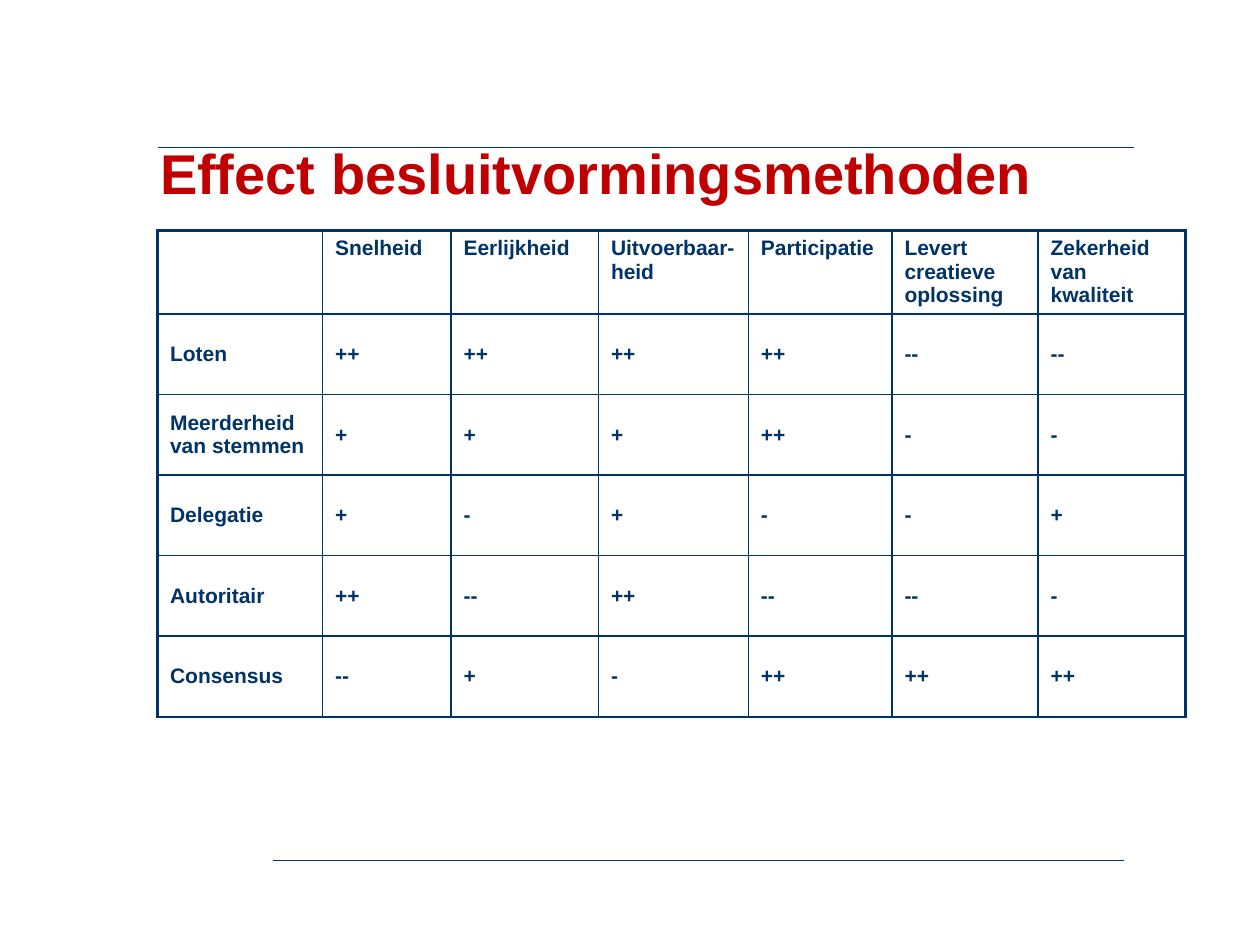
from lxml.etree import SubElement
from pptx import Presentation
from pptx.dml.color import RGBColor
from pptx.enum.shapes import MSO_CONNECTOR as Connector
from pptx.enum.text import MSO_ANCHOR as Anchor, MSO_AUTO_SIZE as AutoSize, PP_ALIGN as Align
from pptx.oxml import parse_xml
from pptx.oxml.ns import nsdecls, qn
from pptx.util import Inches, Pt

# Content
TITLE = "Effect besluitvormingsmethoden"
ROWS = [
    ["", "Snelheid", "Eerlijkheid", "Uitvoerbaar-heid", "Participatie",
     "Levert creatieve oplossing", "Zekerheid van kwaliteit"],
    ["Loten", "++", "++", "++", "++", "--", "--"],
    ["Meerderheid van stemmen", "+", "+", "+", "++", "-", "-"],
    ["Delegatie", "+", "-", "+", "-", "-", "+"],
    ["Autoritair", "++", "--", "++", "--", "--", "-"],
    ["Consensus", "--", "+", "-", "++", "++", "++"],
]

# Layout and formats
NAVY, RED = "003366", "C00000"
RULES = [(1.25, 9, 1.17), (2.17, 8.92, 6.83)]  # left, right, y
COLUMN_WIDTHS = [1.31, 1.02, 1.17, 1.19, 1.14, 1.16, 1.17]
ROW_HEIGHT = 0.64
THIN, THICK = 1, 2.25
TITLE_FONT = {"name": "Arial", "size": Pt(32), "bold": True}
CELL_FONT = {"name": "Arial", "size": Pt(12), "bold": True}
CELL_MARGINS = {"margin_left": Inches(0.1), "margin_right": Inches(0.1),
                "margin_top": Inches(0.05), "margin_bottom": Inches(0.05)}


def color(value):
    return RGBColor.from_string(value)


def apply(target, formats):
    for name, value in formats.items():
        setattr(target, name, value)


def write(para, text, font, ink):
    span = para.add_run()
    span.text = text
    apply(span.font, font)
    span.font.color.rgb = color(ink)


def add_rule(page, left, right, y):
    rule = page.shapes.add_connector(
        Connector.STRAIGHT, Inches(left), Inches(y), Inches(right), Inches(y))
    rule.line.color.rgb = color(NAVY)
    rule.line.width = Pt(0.75)
    SubElement(rule._element.spPr, qn("a:effectLst"))


def set_borders(cell, widths):
    properties = cell._tc.get_or_add_tcPr()
    for index, (side, width) in enumerate(widths.items()):
        properties.insert(index, parse_xml(
            f'<a:ln{side} {nsdecls("a")} w="{Pt(width)}"><a:solidFill>'
            f'<a:srgbClr val="{NAVY}"/></a:solidFill></a:ln{side}>'))


def add_title(page):
    title = page.shapes.title
    apply(title, {"left": Inches(1.17), "top": Inches(0.94),
                  "width": Inches(8.17), "height": Inches(0.75)})
    apply(title.text_frame, {"vertical_anchor": Anchor.BOTTOM, "word_wrap": True,
                             "auto_size": AutoSize.NONE})
    para = title.text_frame.paragraphs[0]
    apply(para, {"alignment": Align.LEFT, "line_spacing": 0.9})
    write(para, TITLE, TITLE_FONT, RED)


def add_methods_table(page):
    last_column = len(COLUMN_WIDTHS) - 1
    table = page.shapes.add_table(
        len(ROWS), len(COLUMN_WIDTHS), Inches(1.25), Inches(1.83),
        Inches(sum(COLUMN_WIDTHS)), Inches(ROW_HEIGHT * len(ROWS))).table
    apply(table, {"first_row": False, "horz_banding": False})
    for column, width in zip(table.columns, COLUMN_WIDTHS):
        column.width = Inches(width)
    for r, texts in enumerate(ROWS):
        table.rows[r].height = Inches(ROW_HEIGHT)
        for c, text in enumerate(texts):
            cell = table.cell(r, c)
            cell.fill.background()
            apply(cell, CELL_MARGINS)
            cell.vertical_anchor = Anchor.MIDDLE if r else Anchor.TOP
            set_borders(cell, {"L": THIN if c else THICK,
                               "R": THICK if c == last_column else THIN,
                               "T": THIN if r else THICK,
                               "B": THIN})
            if text:
                para = cell.text_frame.paragraphs[0]
                # Space before as a share of the text size
                spacing = SubElement(para._p.get_or_add_pPr(), qn("a:spcBef"))
                SubElement(spacing, qn("a:spcPct"), val="20000")
                write(para, text, CELL_FONT, NAVY)


def main():
    deck = Presentation()
    apply(deck, {"slide_width": Inches(10), "slide_height": Inches(7.5)})
    page = deck.slides.add_slide(deck.slide_layouts[5])
    for rule in RULES:
        add_rule(page, *rule)
    add_title(page)
    add_methods_table(page)
    deck.save("out.pptx")


if __name__ == "__main__":
    main()
